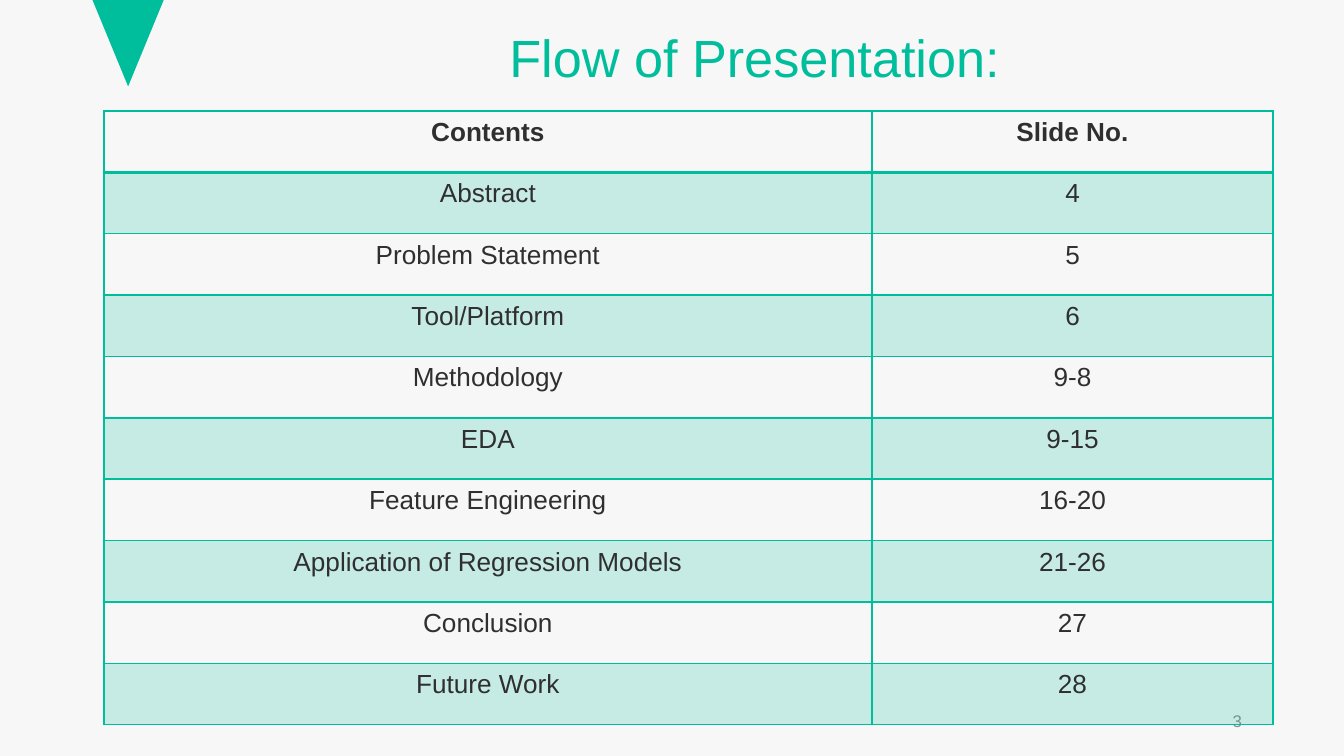
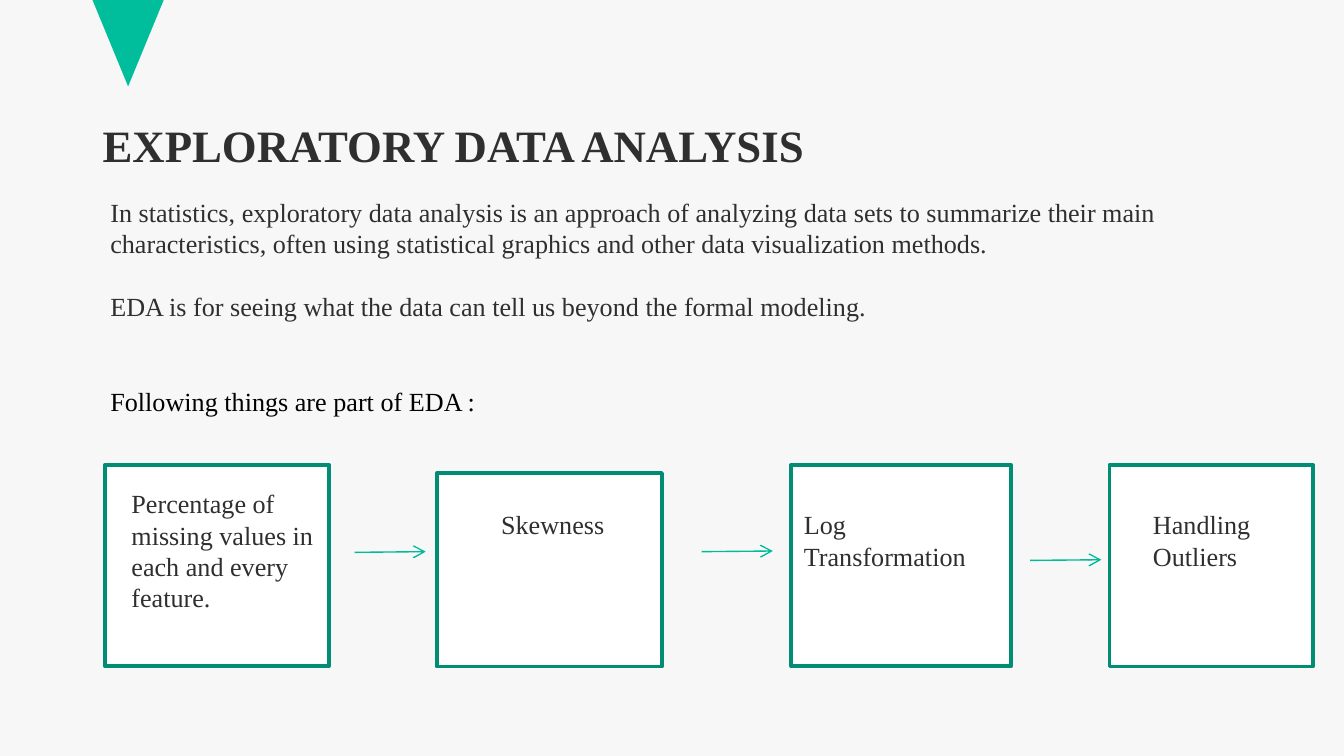
from lxml import etree
from pptx import Presentation
from pptx.dml.color import RGBColor
from pptx.enum.shapes import MSO_CONNECTOR, MSO_SHAPE
from pptx.enum.text import MSO_ANCHOR, PP_ALIGN
from pptx.oxml import parse_xml
from pptx.oxml.ns import nsdecls, qn
from pptx.util import Inches, Pt

TRIANGLE, RECTANGLE = MSO_SHAPE.ISOSCELES_TRIANGLE, MSO_SHAPE.RECTANGLE
STRAIGHT = MSO_CONNECTOR.STRAIGHT
TOP, MIDDLE, BOTTOM = MSO_ANCHOR.TOP, MSO_ANCHOR.MIDDLE, MSO_ANCHOR.BOTTOM
LEFT, CENTER, RIGHT = PP_ALIGN.LEFT, PP_ALIGN.CENTER, PP_ALIGN.RIGHT

GREEN = RGBColor(0x00, 0xBE, 0x9C)
ARROW_GREEN = RGBColor(0x00, 0xBA, 0x99)
DARK_GREEN = RGBColor(0x00, 0x8D, 0x73)
PAPER = RGBColor(0xF7, 0xF7, 0xF7)
WHITE = RGBColor(0xFF, 0xFF, 0xFF)
BLACK = RGBColor(0x00, 0x00, 0x00)
INK = RGBColor(0x2F, 0x2F, 0x2F)
GRAY = RGBColor(0x8C, 0x8C, 0x8C)
SANS, SERIF = "Arial", "Times New Roman"

prs = Presentation()
prs.slide_width = Inches(10)
prs.slide_height = prs.slide_width * 9 // 16
UNIT = prs.slide_width / 100


def grid(*steps):
    return [round(step * UNIT) for step in steps]


def add_text(slide, area, paragraphs, font, size, color, bold=False,
             align=LEFT, anchor=TOP, insets=(1, 0.5, 1, 0.5), spacing=None):
    box = slide.shapes.add_textbox(*grid(*area))
    frame = box.text_frame
    frame.text = "\n".join(paragraphs)
    frame.word_wrap = True
    frame.vertical_anchor = anchor
    (frame.margin_left, frame.margin_top,
     frame.margin_right, frame.margin_bottom) = grid(*insets)
    for paragraph in frame.paragraphs:
        paragraph.alignment = align
        if spacing:
            paragraph.line_spacing = spacing
        run_font = paragraph.runs[0].font
        run_font.name, run_font.size, run_font.bold = font, Pt(size), bold
        run_font.color.rgb = color
    return frame


slides = []
for _ in range(2):
    slide = prs.slides.add_slide(prs.slide_layouts[6])
    slide.background.fill.solid()
    slide.background.fill.fore_color.rgb = PAPER
    marker = slide.shapes.add_shape(TRIANGLE, *grid(6.88, 0, 5.3, 6.43))
    marker.rotation = 180
    marker.shadow.inherit = False
    marker.fill.solid()
    marker.fill.fore_color.rgb = GREEN
    marker.line.fill.background()
    slides.append(slide)
flow, eda = slides

add_text(flow, (12.1, 2.2, 86.2, 13.1), ["Flow of Presentation:"], SANS, 28,
         GREEN, insets=(25.8, 0.2, 0.7, 0.4), spacing=0.9)
add_text(flow, (70.6, 52.1, 22.5, 3), ["3"], SANS, 9, GRAY, align=RIGHT,
         anchor=MIDDLE, insets=(0.7, 0.4, 0.7, 0.4))

contents = [
    ("Contents", "Slide No."),
    ("Abstract", "4"),
    ("Problem Statement", "5"),
    ("Tool/Platform", "6"),
    ("Methodology", "9-8"),
    ("EDA", "9-15"),
    ("Feature Engineering", "16-20"),
    ("Application of Regression Models", "21-26"),
    ("Conclusion", "27"),
    ("Future Work", "28"),
]
agenda = flow.shapes.add_table(len(contents), 2, *grid(7.73, 8.25, 87, 45.7)).table
agenda.first_row = agenda.horz_banding = False
agenda.columns[0].width, agenda.columns[1].width = grid(57.15, 29.85)

for row, entry in enumerate(contents):
    for column, wording in enumerate(entry):
        cell = agenda.cell(row, column)
        cell.text = wording
        paragraph = cell.text_frame.paragraphs[0]
        paragraph.alignment = CENTER
        font = paragraph.runs[0].font
        font.name, font.size, font.bold = SANS, Pt(14), row == 0
        font.color.rgb = INK
        properties = cell._tc.get_or_add_tcPr()
        for side in ("lnL", "lnR", "lnT", "lnB"):
            under_header = (row, side) in ((0, "lnB"), (1, "lnT"))
            properties.append(parse_xml(
                f'<a:{side} {nsdecls("a")} w="{Pt(2 if under_header else 1)}">'
                f'<a:solidFill><a:srgbClr val="{GREEN}"/></a:solidFill></a:{side}>'))
        if row % 2:
            cell.fill.solid()
            cell.fill.fore_color.rgb = GREEN
            tint = properties.find(qn("a:solidFill")).find(qn("a:srgbClr"))
            etree.SubElement(tint, qn("a:alpha")).set("val", "20000")
        else:
            cell.fill.background()

add_text(eda, (6.93, 3.8, 88.8, 13.1), ["EXPLORATORY DATA ANALYSIS"], SERIF, 24,
         INK, bold=True, anchor=BOTTOM, insets=(0.7, 0.4, 0.7, 4.9), spacing=0.9)
intro = add_text(eda, (7.23, 14.12, 91.3, 22.2), [
    "In statistics, exploratory data analysis is an approach of analyzing data sets "
    "to summarize their main characteristics, often using statistical graphics and "
    "other data visualization methods.",
    "EDA is for seeing what the data can tell us beyond the formal modeling.",
    "Following things are part of EDA :",
], SERIF, 14, INK)
intro.paragraphs[1].space_before = Pt(17)
intro.paragraphs[2].space_before = Pt(34)
intro.paragraphs[2].runs[0].font.color.rgb = BLACK

steps = [
    ((7.8, 34.6, 16.7, 14.95), (8.8, 35.8, 18.4, 10.4),
     "Percentage of missing values in each and every feature."),
    ((32.5, 35.2, 16.75, 14.4), (36.3, 37.35, 14.1, 5.7), "Skewness"),
    ((58.85, 34.6, 16.4, 14.95), (58.83, 37.35, 15.7, 10.4), "Log Transformation"),
    ((82.55, 34.6, 15.15, 15), (84.8, 37.35, 10.1, 10.4), "Handling Outliers"),
]
for frame_area, label_area, label in steps:
    step = eda.shapes.add_shape(RECTANGLE, *grid(*frame_area))
    step.shadow.inherit = False
    step.fill.solid()
    step.fill.fore_color.rgb = WHITE
    step.line.color.rgb = DARK_GREEN
    step.line.width = Pt(2)
    add_text(eda, label_area, [label], SERIF, 14, INK)

for start, height in ((26.38, 41.1), (52.2, 41.05), (76.65, 41.7)):
    arrow = eda.shapes.add_connector(
        STRAIGHT, *grid(start, height, start + 5.3, height - 0.05))
    arrow.line.color.rgb = ARROW_GREEN
    arrow.line.width = Pt(0.75)
    properties = arrow._element.spPr
    etree.SubElement(properties.find(qn("a:ln")), qn("a:tailEnd")).set("type", "arrow")
    etree.SubElement(properties, qn("a:effectLst"))

prs.save("out.pptx")
